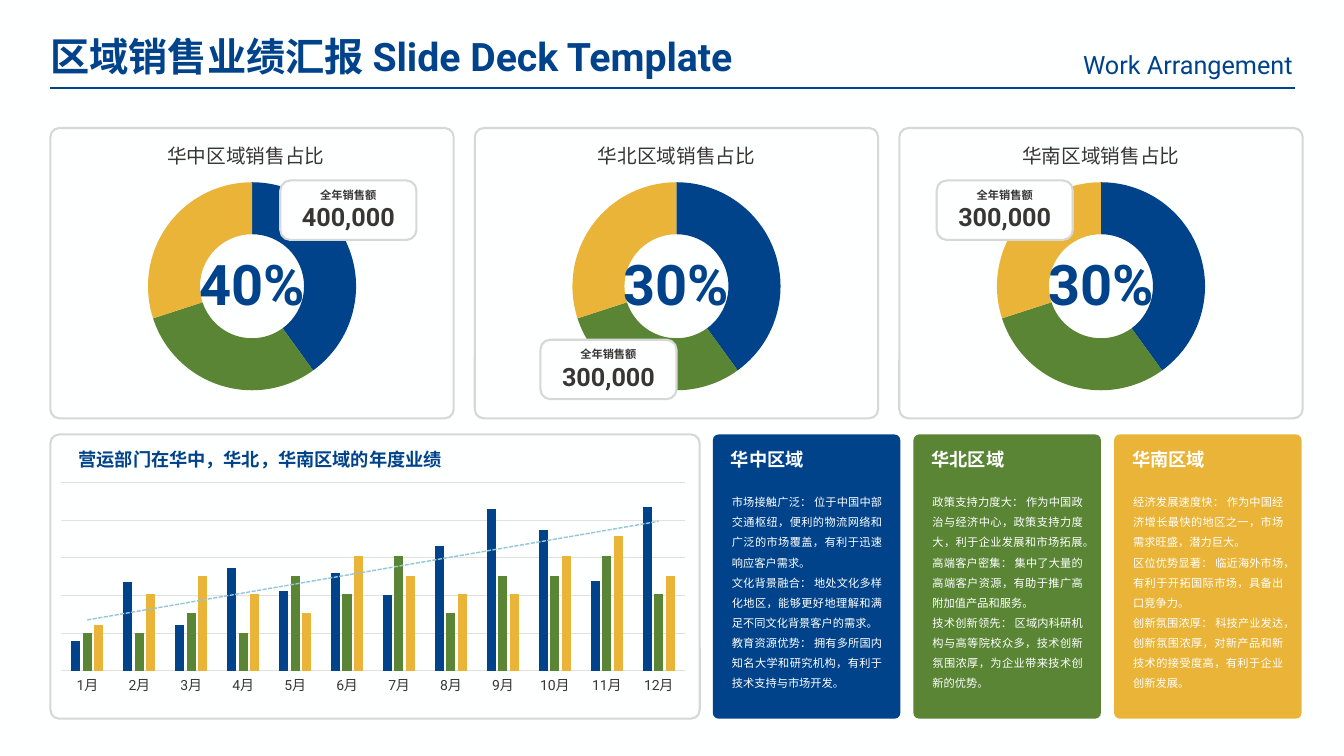
"""Builds the regional sales report slide: three share cards, a monthly chart and three region panels."""
import pptx
import pptx.chart.data
import pptx.dml.color
import pptx.enum.chart
import pptx.enum.dml
import pptx.enum.shapes
import pptx.enum.text
import pptx.oxml
import pptx.util

COLORS = {"blue": "00438B", "green": "598535", "gold": "E9B437", "sky": "93C6DA",
          "white": "FEFFFF", "border": "D7D7D7", "grid": "E2E0E0", "ink": "383535"}
SERIES_COLORS = ["blue", "green", "gold"]
FONT = "Roboto"
RGB = {name: pptx.dml.color.RGBColor.from_string(value) for name, value in COLORS.items()}
ALIGN = pptx.enum.text.PP_ALIGN
INCH = pptx.util.Inches
CHART_NS = 'xmlns:c="http://schemas.openxmlformats.org/drawingml/2006/chart"'
DRAW_NS = 'xmlns:a="http://schemas.openxmlformats.org/drawingml/2006/main"'

LEFT, CARD_TOP, PANEL_TOP = 0.5, 1.27, 4.31
CARD_W, CARD_H, CARD_STEP = 4, 2.88, 4.21
PANEL_LEFT, PANEL_W, PANEL_H, PANEL_STEP = 7.07, 1.86, 2.82, 1.99

REGIONS = [
    {"name": "华中", "share": "40%", "sales": "400,000", "caption": 2.44, "callout": (2.78, 1.79), "points": [
        "市场接触广泛： 位于中国中部交通枢纽，便利的物流网络和广泛的市场覆盖，有利于迅速响应客户需求。",
        "文化背景融合： 地处文化多样化地区，能够更好地理解和满足不同文化背景客户的需求。",
        "教育资源优势： 拥有多所国内知名大学和研究机构，有利于技术支持与市场开发。"]},
    {"name": "华北", "share": "30%", "sales": "300,000", "caption": 6.71, "callout": (5.36, 3.37), "points": [
        "政策支持力度大： 作为中国政治与经济中心，政策支持力度大，利于企业发展和市场拓展。",
        "高端客户密集： 集中了大量的高端客户资源，有助于推广高附加值产品和服务。",
        "技术创新领先： 区域内科研机构与高等院校众多，技术创新氛围浓厚，为企业带来技术创新的优势。"]},
    {"name": "华南", "share": "30%", "sales": "300,000", "caption": 10.92, "callout": (9.29, 1.79), "points": [
        "经济发展速度快： 作为中国经济增长最快的地区之一，市场需求旺盛，潜力巨大。",
        "区位优势显著： 临近海外市场，有利于开拓国际市场，具备出口竞争力。",
        "创新氛围浓厚： 科技产业发达，创新氛围浓厚，对新产品和新技术的接受度高，有利于企业创新发展。"]},
]
MONTHLY_SALES = [
    [18, 54, 28, 63, 49, 60, 46, 76, 99, 86, 55, 100],
    [23, 23, 35, 23, 58, 47, 70, 35, 58, 58, 70, 47],
    [28, 47, 58, 47, 35, 70, 58, 47, 47, 70, 82, 58],
]

deck = pptx.Presentation()
deck.slide_width, deck.slide_height = INCH(13.33), INCH(7.5)
slide = deck.slides.add_slide(deck.slide_layouts[5])
slide.background.fill.solid()
slide.background.fill.fore_color.rgb = RGB["white"]


def write(box, text, sizes, color, bold=False, align=ALIGN.LEFT, inset=None, spacing=None):
    """Fill a shape with text; sizes gives the points of each run in a paragraph."""
    frame = box.text_frame
    frame.text = text
    frame.word_wrap = True
    if inset is not None:
        frame.margin_left = frame.margin_right = frame.margin_top = frame.margin_bottom = INCH(inset)
    for paragraph in frame.paragraphs:
        paragraph.alignment = align
        paragraph.line_spacing = spacing
        for run, size in zip(paragraph.runs, sizes):
            run.font.size = pptx.util.Pt(size)
            run.font.name = FONT
            run.font.bold = bold
            run.font.color.rgb = RGB[color]


def add_card(left, top, width, height, fill, corner, border=None):
    """Add a rounded rectangle with an optional border."""
    card = slide.shapes.add_shape(pptx.enum.shapes.MSO_SHAPE.ROUNDED_RECTANGLE,
                                  INCH(left), INCH(top), INCH(width), INCH(height))
    card.shadow.inherit = False
    card.adjustments[0] = corner
    card.fill.solid()
    card.fill.fore_color.rgb = RGB[fill]
    if border:
        card.line.color.rgb = RGB[border]
        card.line.width = pptx.util.Pt(1.5)
    else:
        card.line.fill.background()
    return card


heading = slide.shapes.title
heading.left, heading.top, heading.width, heading.height = INCH(0.4), INCH(0.27), INCH(8.5), INCH(0.57)
write(heading, "区域销售业绩汇报 Slide Deck Template", [28], "blue", bold=True)
heading.text_frame.vertical_anchor = pptx.enum.text.MSO_ANCHOR.TOP
subtitle = slide.shapes.add_textbox(INCH(10.39), INCH(0.44), INCH(2.53), INCH(0.4))
write(subtitle, "Work Arrangement", [18], "blue", align=ALIGN.RIGHT)
rule = slide.shapes.add_connector(pptx.enum.shapes.MSO_CONNECTOR.STRAIGHT,
                                  INCH(LEFT), INCH(0.87), INCH(12.84), INCH(0.87))
rule.line.color.rgb = RGB["blue"]
rule.line.width = pptx.util.Pt(1.5)
rule._element.spPr.append(pptx.oxml.parse_xml(f"<a:effectLst {DRAW_NS}/>"))

for column, region in enumerate(REGIONS):
    card_left = LEFT + column * CARD_STEP
    add_card(card_left, CARD_TOP, CARD_W, CARD_H, "white", 0.031, "border")
    caption = slide.shapes.add_textbox(INCH(region["caption"] - 1), INCH(1.43), INCH(2), INCH(0.24))
    write(caption, region["name"] + "区域销售占比", [14], "ink", align=ALIGN.CENTER, inset=0)

    share_data = pptx.chart.data.CategoryChartData()
    share_data.categories = ["1", "2", "3"]
    share_data.add_series("Series 1", [40, 30, 30])
    ring = slide.shapes.add_chart(pptx.enum.chart.XL_CHART_TYPE.DOUGHNUT, INCH(card_left), INCH(1.67),
                                  INCH(CARD_W), INCH(2.34), share_data).chart
    ring.has_legend = ring.has_title = False
    ring.font.size = pptx.util.Pt(10)
    ring.font.name = "Noto Sans CJK SC"
    ring.font.color.rgb = RGB["ink"]
    for index, color in enumerate(SERIES_COLORS):
        slice_format = ring.plots[0].series[0].points[index].format
        slice_format.fill.solid()
        slice_format.fill.fore_color.rgb = RGB[color]
        slice_format.line.fill.background()
    for hole in ring._chartSpace.xpath(".//c:holeSize"):
        hole.set("val", "72")

    percent = slide.shapes.add_textbox(INCH(card_left + CARD_W / 2 - 0.6), INCH(2.48), INCH(1.2), INCH(0.67))
    write(percent, region["share"], [40], "blue", bold=True, align=ALIGN.CENTER, inset=0)
    callout = add_card(*region["callout"], 1.35, 0.59, "white", 0.167, "border")
    write(callout, "全年销售额\v" + region["sales"], [8, 18], "ink", bold=True, align=ALIGN.CENTER)
    callout.text_frame.vertical_anchor = pptx.enum.text.MSO_ANCHOR.MIDDLE

    panel_left = PANEL_LEFT + column * PANEL_STEP
    add_card(panel_left, PANEL_TOP, PANEL_W, PANEL_H, SERIES_COLORS[column], 0.031)
    panel_title = slide.shapes.add_textbox(INCH(panel_left + 0.15), INCH(4.42), INCH(1.61), INCH(0.27))
    write(panel_title, region["name"] + "区域", [13], "white", bold=True, inset=0.03)
    strengths = slide.shapes.add_textbox(INCH(panel_left + 0.09), INCH(4.8), INCH(1.69), INCH(2.1))
    write(strengths, "\n".join(region["points"]), [8], "white", align=ALIGN.JUSTIFY, spacing=1.5)

add_card(LEFT, PANEL_TOP, 6.44, PANEL_H, "white", 0.031, "border")
monthly_data = pptx.chart.data.CategoryChartData()
monthly_data.categories = [f"{month}月" for month in range(1, 13)]
for number, sales in enumerate(MONTHLY_SALES, 1):
    monthly_data.add_series(f"Series {number}", sales)
monthly = slide.shapes.add_chart(pptx.enum.chart.XL_CHART_TYPE.COLUMN_CLUSTERED, INCH(LEFT), INCH(4.58),
                                 INCH(6.38), INCH(2.47), monthly_data).chart
monthly.has_legend = monthly.has_title = False
monthly.font.size = pptx.util.Pt(10)
monthly.font.name = FONT
monthly.font.color.rgb = RGB["ink"]
bars = monthly.plots[0]
bars.gap_width, bars.overlap, bars.vary_by_categories = 219, -27, False
for series, color in zip(bars.series, SERIES_COLORS):
    series.format.fill.solid()
    series.format.fill.fore_color.rgb = RGB[color]

months = monthly.category_axis
months.major_tick_mark = pptx.enum.chart.XL_TICK_MARK.NONE
amounts = monthly.value_axis
amounts.minimum_scale, amounts.maximum_scale, amounts.major_unit = 0, 115, 23
amounts.has_major_gridlines = True
amounts.visible = False
for axis_line in (months.format.line, amounts.major_gridlines.format.line):
    axis_line.color.rgb = RGB["grid"]
    axis_line.width = pptx.util.Pt(0.75)

trend = pptx.oxml.parse_xml(
    f'<c:trendline {CHART_NS} {DRAW_NS}><c:spPr><a:ln w="12700"><a:solidFill><a:srgbClr val="{COLORS["sky"]}"/>'
    '</a:solidFill><a:prstDash val="sysDash"/></a:ln></c:spPr><c:trendlineType val="linear"/>'
    '<c:dispRSqr val="0"/><c:dispEq val="0"/></c:trendline>')
monthly._chartSpace.xpath(".//c:ser[1]/c:cat")[0].addprevious(trend)
plot_area = monthly._chartSpace.xpath(".//c:plotArea")[0]
for layout in plot_area.xpath("./c:layout"):
    plot_area.remove(layout)
plot_area.insert(0, pptx.oxml.parse_xml(
    f'<c:layout {CHART_NS}><c:manualLayout><c:layoutTarget val="inner"/><c:xMode val="edge"/><c:yMode val="edge"/>'
    '<c:x val="0.017"/><c:y val="0.083"/><c:w val="0.969"/><c:h val="0.758"/></c:manualLayout></c:layout>'))

monthly_title = slide.shapes.add_textbox(INCH(0.75), INCH(4.42), INCH(6.1), INCH(0.27))
write(monthly_title, "营运部门在华中，华北，华南区域的年度业绩", [13], "blue", bold=True, inset=0.03)

deck.save("out.pptx")
